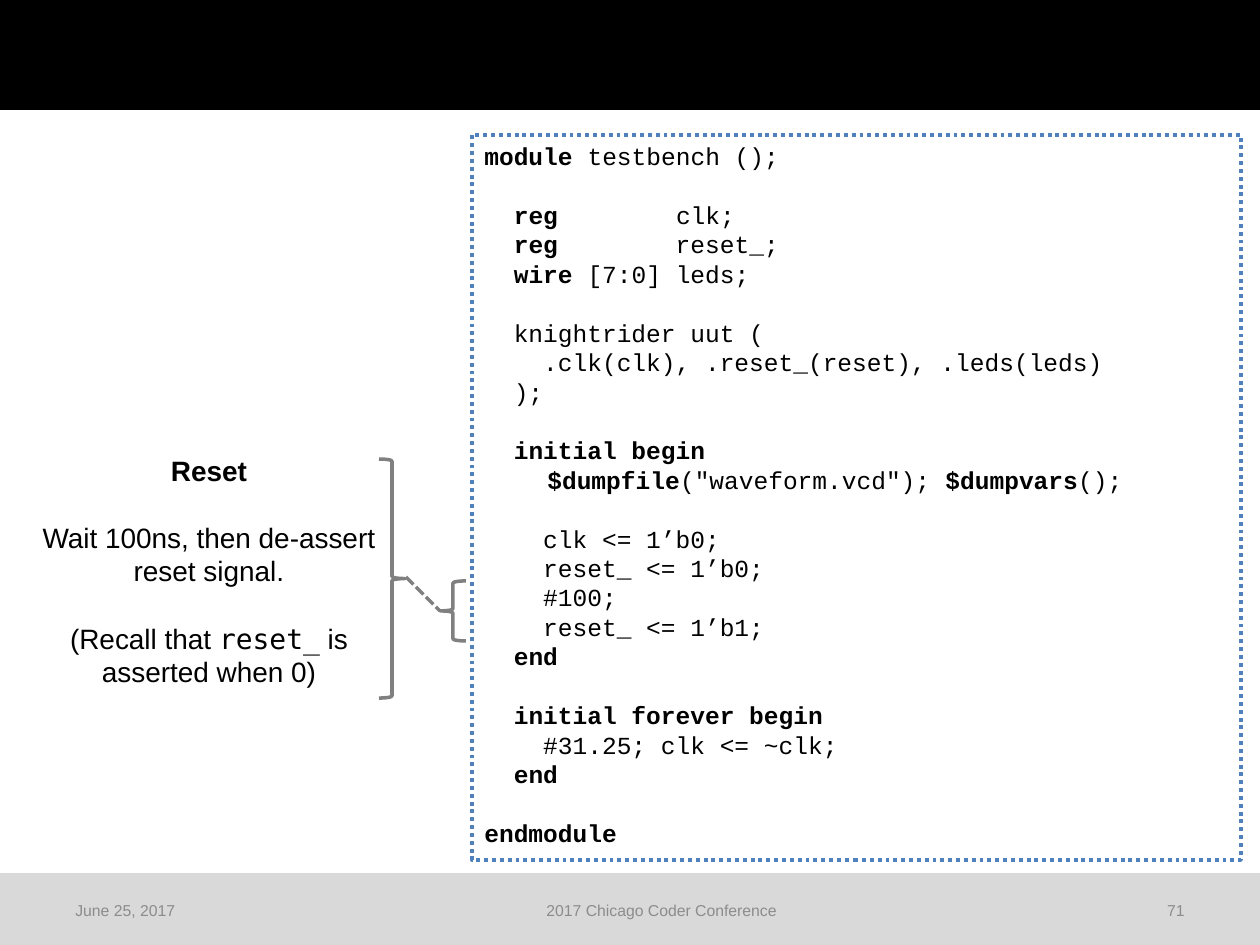
from dataclasses import dataclass

import pptx
import pptx.dml.color
import pptx.enum.dml
import pptx.enum.shapes
import pptx.enum.text
import pptx.oxml.ns
import pptx.util
from lxml import etree

SHAPE = pptx.enum.shapes.MSO_SHAPE
ALIGN = pptx.enum.text.PP_ALIGN
ANCHOR = pptx.enum.text.MSO_ANCHOR
DASH = pptx.enum.dml.MSO_LINE
EMU_PER_PX = 914400 / 126


@dataclass(frozen=True)
class Theme:
    black: str = "000000"
    bar: str = "D9D9D9"
    footer: str = "8C8C8C"
    frame: str = "4F81BD"
    brace: str = "808080"
    sans: str = "Arial"
    mono: str = "Courier New"
    inline_mono: str = "DejaVu Sans Mono"
    footer_size: int = 9
    code_size: int = 14
    note_size: int = 16
    leading: float = 1.2


THEME = Theme()

# Blocks of lines; asterisks enclose bold text
CODE = [
    ["*module *testbench ();"],
    ["  *reg        *clk;",
     "  *reg*        reset_;",
     "  *wire* [7:0] leds;"],
    ["  knightrider uut (",
     "    .clk(clk), .reset_(reset), .leds(leds)",
     "  );"],
    ["  *initial begin*",
     "\t*$dumpfile*(\"waveform.vcd\"); *$dumpvars*();"],
    ["    clk <= 1’b0;",
     "    reset_ <= 1’b0;",
     "    #100;",
     "    reset_ <= 1’b1;",
     "  *end*"],
    ["  *initial forever begin*",
     "    #31.25; clk <= ~clk;",
     "  *end*"],
    ["*endmodule*"],
]
NOTE = [
    ["*Reset*"],
    ["Wait 100ns, then de-assert reset signal."],
    ["(Recall that `reset_` is asserted when 0)"],
]


def px(n):
    return pptx.util.Emu(round(n * EMU_PER_PX))


def rgb(color):
    return pptx.dml.color.RGBColor.from_string(color)


def set_line(s, color, width, dash=None):
    s.line.color.rgb = rgb(color)
    s.line.width = pptx.util.Pt(width)
    if dash is not None:
        s.line.dash_style = dash


def set_font(p, name, size, color):
    p.font.name = name
    p.font.size = pptx.util.Pt(size)
    p.font.color.rgb = rgb(color)


def add_shape(slide, kind, box, fill=None):
    s = slide.shapes.add_shape(kind, *map(px, box))
    s.shadow.inherit = False
    if fill:
        s.fill.solid()
        s.fill.fore_color.rgb = rgb(fill)
        s.line.fill.background()
    else:
        s.fill.background()
    return s


def add_runs(p, text):
    """Split at asterisks for bold and at backticks for inline code."""
    for i, part in enumerate(text.split("*")):
        for j, piece in enumerate(part.split("`")):
            if piece:
                r = p.add_run()
                r.text = piece
                if i % 2:
                    r.font.bold = True
                if j % 2:
                    r.font.name = THEME.inline_mono


def add_tab_stop(p, position):
    tabs = etree.SubElement(p._p.get_or_add_pPr(), pptx.oxml.ns.qn("a:tabLst"))
    etree.SubElement(tabs, pptx.oxml.ns.qn("a:tab"), pos=str(px(position)), algn="l")


def fill_blocks(tf, blocks, font, size, align):
    """Write blocks of lines, one line height apart."""
    tf.word_wrap = True
    tf.vertical_anchor = ANCHOR.TOP
    leading = pptx.util.Pt(round(size * THEME.leading, 1))
    p = None
    for block in blocks:
        for i, text in enumerate(block):
            first = p is None
            p = tf.paragraphs[0] if first else tf.add_paragraph()
            p.alignment = align
            p.line_spacing = leading
            if i == 0 and not first:
                p.space_before = leading
            if "\t" in text:
                add_tab_stop(p, 63)
            set_font(p, font, size, THEME.black)
            add_runs(p, text)


def add_footer(slide, left, width, text, align):
    tf = slide.shapes.add_textbox(*map(px, (left, 885, width, 50))).text_frame
    tf.word_wrap = True
    tf.vertical_anchor = ANCHOR.MIDDLE
    p = tf.paragraphs[0]
    p.text = text
    p.alignment = align
    set_font(p, THEME.sans, THEME.footer_size, THEME.footer)


def add_brace(slide, box, rotation=0):
    s = add_shape(slide, SHAPE.LEFT_BRACE, box)
    s.adjustments[0] = 0.08
    s.adjustments[1] = 0.5
    s.rotation = rotation
    set_line(s, THEME.brace, 2)


def add_dashed_link(slide, start, end):
    s = slide.shapes.add_connector(
        pptx.enum.shapes.MSO_CONNECTOR.STRAIGHT, *map(px, start + end))
    set_line(s, THEME.brace, 2, DASH.SQUARE_DOT)
    etree.SubElement(s._element.spPr, pptx.oxml.ns.qn("a:effectLst"))


def main():
    prs = pptx.Presentation()
    prs.slide_width, prs.slide_height = px(1260), px(945)
    slide = prs.slides.add_slide(prs.slide_layouts[6])

    # Header and footer bars
    add_shape(slide, SHAPE.RECTANGLE, (0, 873, 1260, 72), THEME.bar)
    add_shape(slide, SHAPE.RECTANGLE, (0, 0, 1260, 110), THEME.black)
    add_footer(slide, 63, 154, "June 25, 2017", ALIGN.LEFT)
    add_footer(slide, 217, 889, "2017 Chicago Coder Conference", ALIGN.CENTER)
    add_footer(slide, 1106, 91, "71", ALIGN.RIGHT)

    # Code listing
    frame = add_shape(slide, SHAPE.RECTANGLE, (472, 135, 769, 725))
    set_line(frame, THEME.frame, 2.25, DASH.ROUND_DOT)
    fill_blocks(frame.text_frame, CODE, THEME.mono, THEME.code_size, ALIGN.LEFT)

    # Note on the reset lines
    note = slide.shapes.add_textbox(*map(px, (26, 447, 366, 251)))
    fill_blocks(note.text_frame, NOTE, THEME.sans, THEME.note_size, ALIGN.CENTER)

    # Braces joining note and code
    add_brace(slide, (440, 581, 26, 60))
    add_brace(slide, (379, 459, 26, 239), rotation=180)
    add_dashed_link(slide, (406, 577), (440, 611))

    prs.save("out.pptx")


if __name__ == "__main__":
    main()
